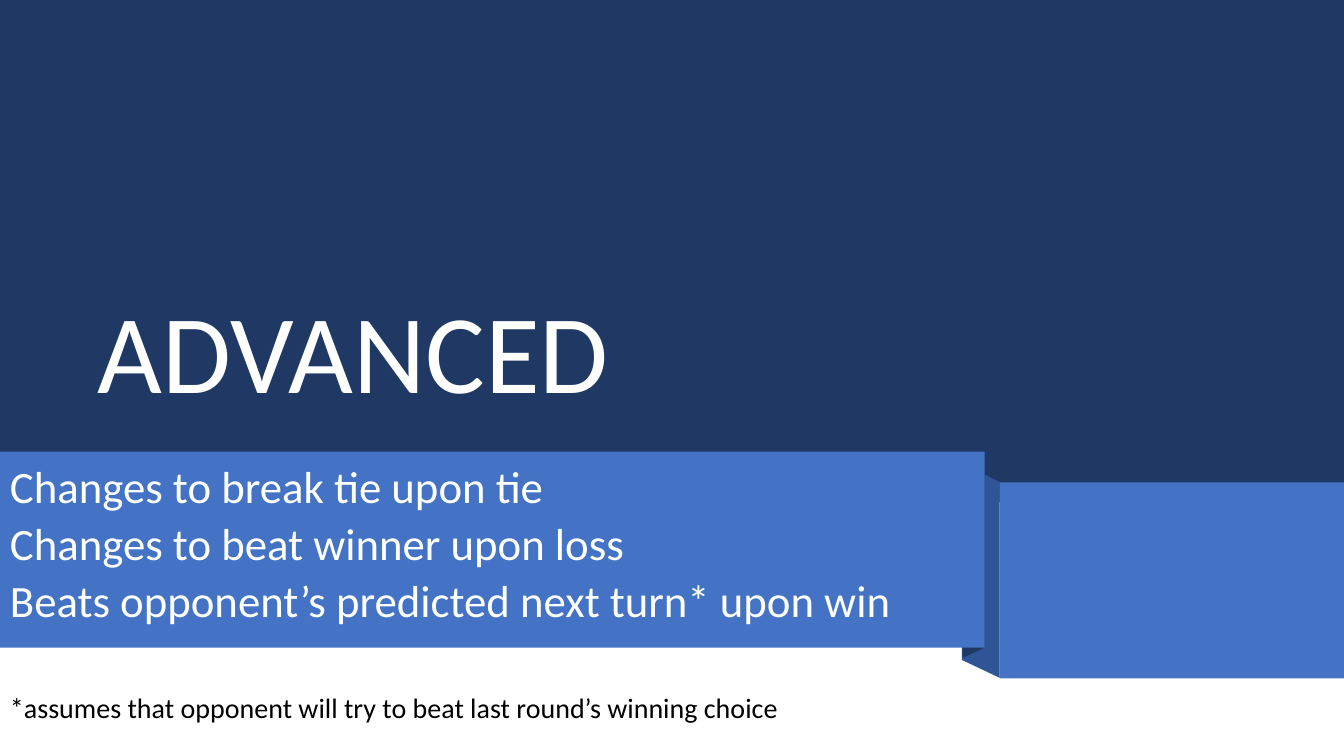
from pptx import Presentation
from pptx.dml.color import RGBColor
from pptx.enum.shapes import MSO_SHAPE
from pptx.enum.text import MSO_ANCHOR, PP_ALIGN
from pptx.util import Pt

NAVY = RGBColor(0x20, 0x38, 0x64)
MID_BLUE = RGBColor(0x2F, 0x55, 0x97)
BLUE = RGBColor(0x44, 0x72, 0xC4)
WHITE = RGBColor(0xFF, 0xFF, 0xFF)
OFF_WHITE = RGBColor(0xFE, 0xFF, 0xFF)
BLACK = RGBColor(0, 0, 0)
FONT = "Calibri"
SLIDE_W, SLIDE_H = 960, 540
RULES = [
    "Changes to break tie upon tie",
    "Changes to beat winner upon loss",
    "Beats opponent’s predicted next turn* upon win",
]
FOOTNOTE = "*assumes that opponent will try to beat last round’s winning choice"


def paint(sp, color):
    """Give a shape a plain fill without line or shadow."""
    sp.shadow.inherit = False
    sp.fill.solid()
    sp.fill.fore_color.rgb = color
    sp.line.fill.background()


def add_rect(s, x, y, w, h, color):
    """Add a plain rectangle."""
    sp = s.shapes.add_shape(MSO_SHAPE.RECTANGLE, Pt(x), Pt(y), Pt(w), Pt(h))
    paint(sp, color)


def add_side(s, x, y, w, h, drop, color):
    """Add an upright band whose right end is lowered by drop."""
    corners = [(x, y), (x + w, y + drop), (x + w, y + drop + h), (x, y + h)]
    points = [(Pt(px), Pt(py)) for px, py in corners]
    builder = s.shapes.build_freeform(*points[0], scale=1.0)
    builder.add_line_segments(points[1:], close=True)
    paint(builder.convert_to_shape(), color)


def add_run(p, text, size, color):
    """Add one formatted run to a paragraph."""
    r = p.add_run()
    r.text = text
    r.font.name = FONT
    r.font.size = Pt(size)
    r.font.color.rgb = color


def add_header(s, x, y, w, h):
    """Add the dark backdrop with the slide title on it."""
    add_rect(s, x, y, w, h, NAVY)
    title = s.shapes.title
    s.shapes._spTree.append(title._element)
    title.left, title.top = Pt(x + 62.6), Pt(y + 50.4)
    title.width, title.height = Pt(651.6), Pt(251.3)
    tf = title.text_frame
    tf.word_wrap = True
    tf.vertical_anchor = MSO_ANCHOR.BOTTOM
    p = tf.paragraphs[0]
    p.alignment = PP_ALIGN.LEFT
    p.line_spacing = 0.9
    add_run(p, "ADVANCED", 80, WHITE)


def add_ribbon(s, x, y, w, h):
    """Add the folded ribbon: two sides, the front band and the tail."""
    drop, front_w, tail_x = 22, 703.4, 714
    band_h = h - drop
    add_side(s, x + 687, y + 8.8, 27, band_h, 12.8, MID_BLUE)
    add_side(s, x + 687.6, y + 7.2, 15.8, band_h, -7.2, NAVY)
    add_rect(s, x, y, front_w, band_h, BLUE)
    add_rect(s, x + tail_x, y + drop, w - tail_x, band_h, BLUE)


def add_rules(s, x, y, w, h):
    """Add the strategy rules with the footnote below them."""
    tf = s.shapes.add_textbox(Pt(x), Pt(y), Pt(w), Pt(h)).text_frame
    tf.word_wrap = True
    lines = [(text, 32, OFF_WHITE, 10) for text in RULES]
    lines.append((FOOTNOTE, 20, BLACK, 51))
    for i, (text, size, color, gap) in enumerate(lines):
        p = tf.add_paragraph() if i else tf.paragraphs[0]
        p.line_spacing = 0.8
        p.space_before = Pt(gap)
        add_run(p, text, size, color)


def build_slide(prs):
    """Build the strategy slide."""
    s = prs.slides.add_slide(prs.slide_layouts[5])
    add_header(s, 0, 0, SLIDE_W, 358.6)
    add_ribbon(s, 0, 322.6, SLIDE_W, 162)
    add_rules(s, 0, 331.2, SLIDE_W, 197.3)


prs = Presentation()
prs.slide_width, prs.slide_height = Pt(SLIDE_W), Pt(SLIDE_H)
build_slide(prs)
prs.save("out.pptx")
